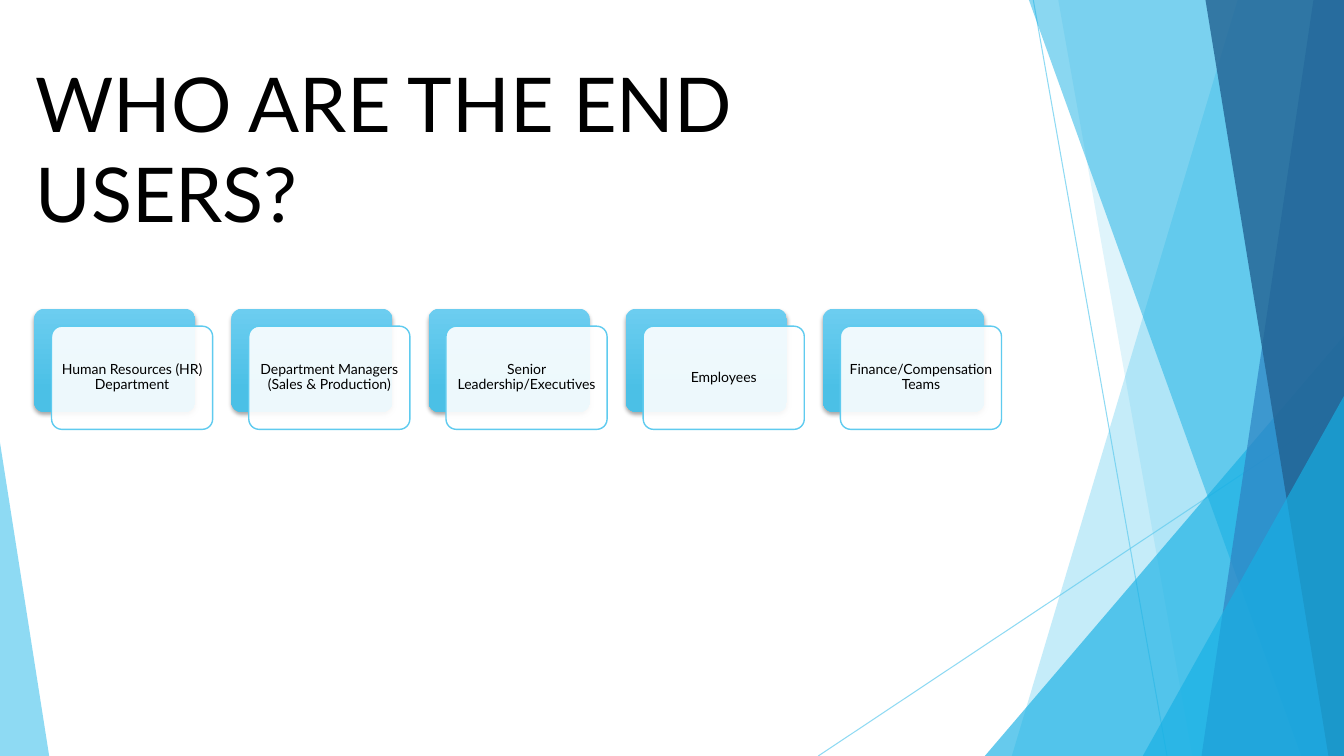
from dataclasses import dataclass

from lxml import etree
from pptx import Presentation
from pptx import util as u
from pptx.dml.color import RGBColor
from pptx.enum import shapes, text
from pptx.oxml.ns import qn
from pptx.shapes.autoshape import Shape
from pptx.shapes.shapetree import SlideShapes
from pptx.slide import Slide
from pptx.util import Cm, Pt

WIDTH, HEIGHT = 33.87, 19.05


@dataclass(frozen=True)
class Theme:
    font: str = "Lato"
    title_size: int = 54
    card_size: int = 10
    ink: str = "000000"
    white: str = "FFFFFF"
    sky: str = "5FCBEF"
    azure: str = "17B0E4"
    blue: str = "2E83C3"
    navy: str = "226292"
    card_top: str = "6CCDF0"
    card_bottom: str = "4BC0E6"


THEME = Theme()


@dataclass(frozen=True)
class Ray:
    """A thin line; lengths in cm."""
    x1: float
    y1: float
    x2: float
    y2: float


@dataclass(frozen=True)
class Facet:
    """A full-height panel from a slanted left edge to the slide's right edge."""
    top_x: float
    bottom_x: float
    color: str
    opacity: int


@dataclass(frozen=True)
class Wedge:
    """A right triangle standing on the slide's bottom edge."""
    left: float
    top: float
    width: float
    apex: float
    color: str
    opacity: int


RAYS = [Ray(26.04, 0, 29.41, HEIGHT), Ray(WIDTH, 10.24, 20.62, HEIGHT)]
BACKDROP: list[Facet | Wedge] = [
    Facet(31.19, 25.5, THEME.sky, 36),
    Facet(26.67, 30.05, THEME.sky, 20),
    Wedge(24.82, 8.46, 9.05, 1, THEME.azure, 66),
    Facet(25.93, 32.79, THEME.azure, 50),
    Facet(33.1, 30.28, THEME.blue, 70),
    Facet(30.38, 33.48, THEME.navy, 80),
    Wedge(28.8, 9.98, 5.07, 1, THEME.azure, 66),
    Wedge(0, 11.15, 1.24, 0, THEME.sky, 70),
]

END_USERS = [
    "Human Resources (HR) Department",
    "Department Managers (Sales & Production)",
    "Senior Leadership/Executives",
    "Employees",
    "Finance/Compensation Teams",
]
CARD_LEFT, CARD_TOP, CARD_PITCH = 0.86, 7.78, 4.97
CARD_WIDTH, CARD_HEIGHT, CARD_SHIFT = 4.06, 2.6, 0.44


def rgb(color: str) -> RGBColor:
    return RGBColor.from_string(color)


def set_opacity(fill_parent: etree._Element, percent: int) -> None:
    color = fill_parent.find(qn("a:solidFill"))[0]
    etree.SubElement(color, qn("a:alpha"), val=str(percent * 1000))


def paint(shape: Shape, color: str, opacity: int) -> None:
    shape.shadow.inherit = False
    shape.fill.solid()
    shape.fill.fore_color.rgb = rgb(color)
    set_opacity(shape._element.spPr, opacity)
    shape.line.fill.background()


def draw_ray(tree: SlideShapes, ray: Ray) -> None:
    line = tree.add_connector(shapes.MSO_CONNECTOR.STRAIGHT,
                              Cm(ray.x1), Cm(ray.y1), Cm(ray.x2), Cm(ray.y2))
    line.line.color.rgb = rgb(THEME.sky)
    line.line.width = Pt(0.75)
    properties = line._element.spPr
    set_opacity(properties.find(qn("a:ln")), 70)
    etree.SubElement(properties, qn("a:effectLst"))


def draw_facet(tree: SlideShapes, facet: Facet) -> None:
    outline = tree.build_freeform(Cm(facet.top_x), 0)
    corners = [(WIDTH, 0), (WIDTH, HEIGHT), (facet.bottom_x, HEIGHT)]
    outline.add_line_segments([(Cm(x), Cm(y)) for x, y in corners], close=True)
    paint(outline.convert_to_shape(), facet.color, facet.opacity)


def draw_wedge(tree: SlideShapes, wedge: Wedge) -> None:
    triangle = tree.add_shape(shapes.MSO_SHAPE.ISOSCELES_TRIANGLE,
                              Cm(wedge.left), Cm(wedge.top),
                              Cm(wedge.width), Cm(HEIGHT - wedge.top))
    triangle.adjustments[0] = wedge.apex
    paint(triangle, wedge.color, wedge.opacity)


def add_panel(tree: SlideShapes, left: float, top: float) -> Shape:
    panel = tree.add_shape(shapes.MSO_SHAPE.ROUNDED_RECTANGLE, Cm(left), Cm(top),
                           Cm(CARD_WIDTH), Cm(CARD_HEIGHT))
    panel.adjustments[0] = 0.1
    paint(panel, THEME.white, 90)
    return panel


def add_drop_shadow(shape: Shape) -> None:
    effects = shape._element.spPr.find(qn("a:effectLst"))
    shadow = etree.SubElement(effects, qn("a:outerShdw"), blurRad=str(Pt(3)),
                              dist=str(Pt(2)), dir="5400000", rotWithShape="0")
    color = etree.SubElement(shadow, qn("a:srgbClr"), val=THEME.ink)
    etree.SubElement(color, qn("a:alpha"), val="35000")


def draw_card(tree: SlideShapes, left: float, end_user: str) -> None:
    # Gradient panel behind
    back = add_panel(tree, left, CARD_TOP)
    back.fill.gradient()
    back.fill.gradient_angle = 270
    upper, lower = back.fill.gradient_stops
    upper.color.rgb, upper.position = rgb(THEME.card_top), 0
    lower.color.rgb, lower.position = rgb(THEME.card_bottom), 0.78
    add_drop_shadow(back)

    # Outlined label in front
    label = add_panel(tree, left + CARD_SHIFT, CARD_TOP + CARD_SHIFT)
    label.line.color.rgb = rgb(THEME.sky)
    label.line.width = Pt(1)
    frame = label.text_frame
    frame.word_wrap = True
    frame.vertical_anchor = text.MSO_ANCHOR.MIDDLE
    frame.margin_left = frame.margin_right = Cm(0.1)
    frame.margin_top = frame.margin_bottom = Cm(0.1)
    frame.text = end_user
    wording = frame.paragraphs[0]
    wording.alignment = text.PP_ALIGN.CENTER
    wording.line_spacing = 0.9
    wording.font.name = THEME.font
    wording.font.size = Pt(THEME.card_size)
    wording.font.color.rgb = rgb(THEME.ink)


def set_title(slide: Slide, question: str) -> None:
    title = slide.shapes.title
    title.left, title.top = Cm(0.64), Cm(1.3)
    title.width, title.height = Cm(24.64), Cm(2.57)
    frame = title.text_frame
    frame.text = question
    frame.word_wrap = True
    frame.auto_size = text.MSO_AUTO_SIZE.NONE
    frame.vertical_anchor = text.MSO_ANCHOR.TOP
    heading = frame.paragraphs[0]
    heading.alignment = text.PP_ALIGN.LEFT
    heading.font.name = THEME.font
    heading.font.size = Pt(THEME.title_size)
    heading.font.color.rgb = rgb(THEME.ink)


def main() -> None:
    deck = Presentation()
    deck.slide_width, deck.slide_height = u.Cm(WIDTH), u.Cm(HEIGHT)
    slide = deck.slides.add_slide(deck.slide_layouts.get_by_name("Title Only"))

    # Backdrop
    for ray in RAYS:
        draw_ray(slide.shapes, ray)
    for part in BACKDROP:
        if isinstance(part, Facet):
            draw_facet(slide.shapes, part)
        else:
            draw_wedge(slide.shapes, part)

    # Title and cards
    set_title(slide, "WHO ARE THE END USERS?")
    for index, end_user in enumerate(END_USERS):
        draw_card(slide.shapes, CARD_LEFT + index * CARD_PITCH, end_user)

    deck.save("out.pptx")


if __name__ == "__main__":
    main()
